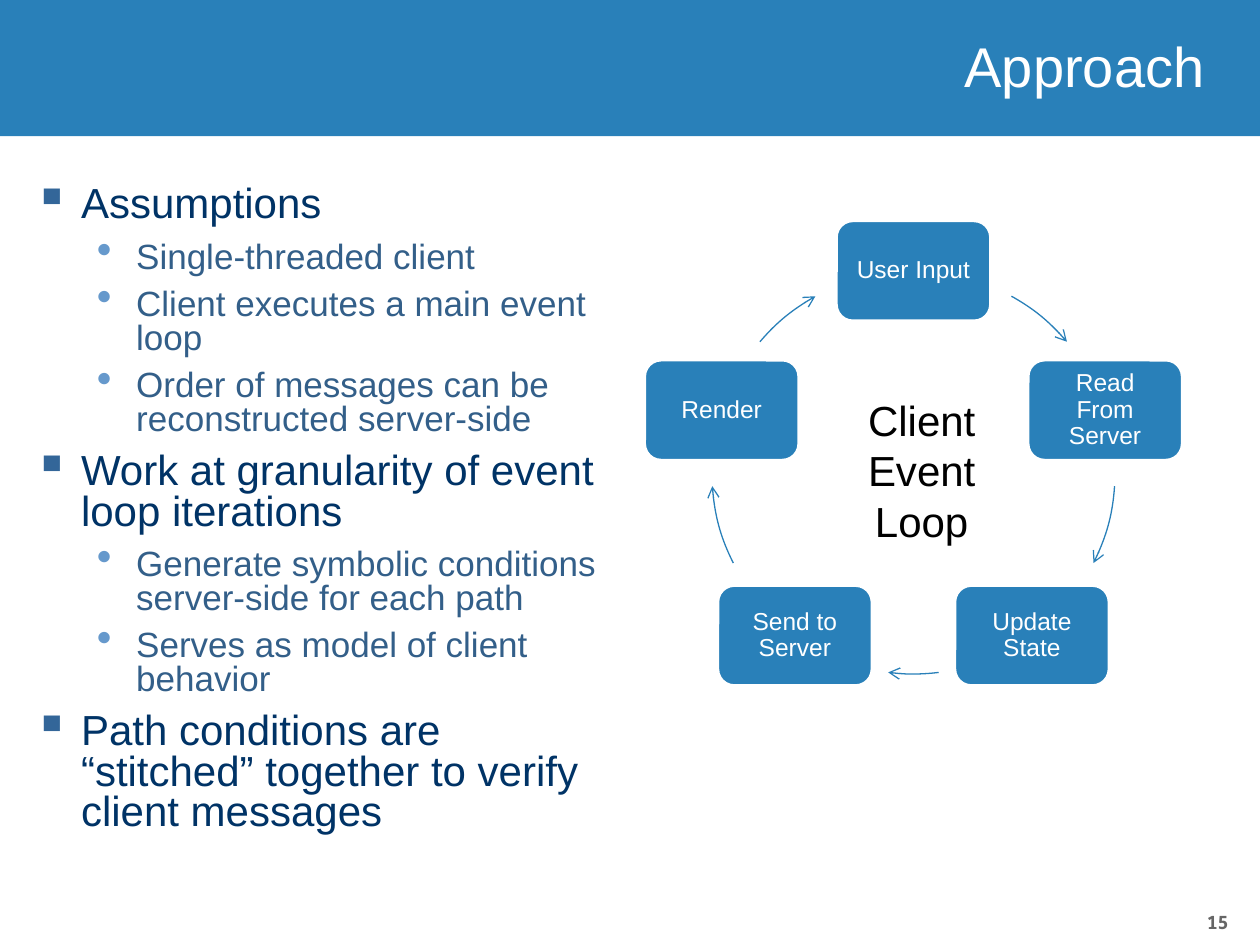
from dataclasses import dataclass
from math import cos, radians, sin

from lxml.etree import SubElement
from pptx import Presentation
from pptx.dml.color import RGBColor
from pptx.enum.shapes import MSO_SHAPE
from pptx.enum.text import MSO_ANCHOR, PP_ALIGN
from pptx.oxml.ns import qn
from pptx.util import Pt


@dataclass(frozen=True)
class Theme:
    blue: str = "2980B9"
    white: str = "FFFFFF"
    black: str = "000000"
    gray: str = "666666"
    shadow: str = "1F5F8B"
    font: str = "Arial"
    number_font: str = "Noto Sans Mono"
    title_size: float = 32
    heading_size: float = 24
    step_size: float = 14
    number_size: float = 10.5
    # size, text colour, bullet, bullet colour, bullet percent, margin, hanging indent
    levels: tuple = (
        (24, "003366", "▪", "336699", 115, 27, 27),
        (20, "335F89", "•", "6699CC", 125, 58.5, 22.5),
    )


class SlideBuilder:
    def __init__(self, page, theme):
        self.page = page
        self.theme = theme

    def apply(self, target, values):
        for name, value in values.items():
            setattr(target, name, value)

    def add_span(self, para, text, size, color, font=None, bold=False):
        span = para.add_run()
        span.text = text
        self.apply(span.font, {"size": Pt(size), "name": font or self.theme.font, "bold": bold})
        span.font.color.rgb = RGBColor.from_string(color)
        return span

    def shape(self, kind, left, top, width, height, fill=None, line=None, weight=1):
        shape = self.page.shapes.add_shape(kind, Pt(left), Pt(top), Pt(width), Pt(height))
        shape.shadow.inherit = False
        for part, color in ((shape.fill, fill), (shape.line.fill, line)):
            if color:
                part.solid()
                part.fore_color.rgb = RGBColor.from_string(color)
            else:
                part.background()
        if line:
            shape.line.width = Pt(weight)
        return shape

    def text_box(self, left, top, width, height, **frame):
        box = self.page.shapes.add_textbox(Pt(left), Pt(top), Pt(width), Pt(height))
        self.apply(box.text_frame, {"word_wrap": True, **frame})
        return box.text_frame

    def label(self, frame, text, size, color, font=None, bold=False, **layout):
        para = frame.paragraphs[0]
        self.apply(para, layout)
        return self.add_span(para, text, size, color, font, bold)

    def text_shadow(self, span):
        properties = span._r.get_or_add_rPr()
        effects = SubElement(properties, qn("a:effectLst"))
        shadow = SubElement(effects, qn("a:outerShdw"), dist=str(Pt(3)), dir="2700000")
        SubElement(shadow, qn("a:srgbClr"), val=self.theme.shadow)
        properties.find(qn("a:solidFill")).addnext(effects)

    def bullets(self, frame, items):
        for index, (level, text) in enumerate(items):
            size, color, mark, mark_color, percent, margin, hanging = self.theme.levels[level]
            para = frame.add_paragraph() if index else frame.paragraphs[0]
            gap = Pt(size * 0.2)
            self.apply(para, {"level": level, "line_spacing": 0.8, "space_after": gap,
                              "space_before": gap if index else Pt(0)})
            properties = para._p.get_or_add_pPr()
            properties.set("marL", str(Pt(margin)))
            properties.set("indent", str(-Pt(hanging)))
            tint = SubElement(properties, qn("a:buClr"))
            SubElement(tint, qn("a:srgbClr"), val=mark_color)
            SubElement(properties, qn("a:buSzPct"), val=str(percent * 1000))
            SubElement(properties, qn("a:buChar"), char=mark)
            self.add_span(para, text, size, color)

    def step(self, text, center_x, center_y, width=88.5, height=57.6):
        theme = self.theme
        box = self.shape(MSO_SHAPE.ROUNDED_RECTANGLE, center_x - width / 2, center_y - height / 2,
                         width, height, theme.blue, theme.white, 2)
        frame = box.text_frame
        sides = ("margin_left", "margin_right", "margin_top", "margin_bottom")
        self.apply(frame, {"word_wrap": True, "vertical_anchor": MSO_ANCHOR.MIDDLE,
                           **dict.fromkeys(sides, Pt(7.2))})
        self.label(frame, text, theme.step_size, theme.white,
                   alignment=PP_ALIGN.CENTER, line_spacing=0.9)

    def arc_arrow(self, center_x, center_y, radius, start, end):
        """Draw a clockwise arrow between two angles in degrees, 0 pointing right."""
        arc = self.shape(MSO_SHAPE.ARC, center_x - radius, center_y - radius,
                         2 * radius, 2 * radius, line=self.theme.blue, weight=0.75)
        for index, angle in enumerate((start, end)):
            arc.adjustments[index] = angle % 360 * 0.6
        SubElement(arc.element.spPr.find(qn("a:ln")), qn("a:tailEnd"), type="arrow")

    def cycle(self, names, arcs, center_x, center_y, radius):
        turn = 360 / len(names)
        for index, (name, (start, end)) in enumerate(zip(names, arcs)):
            angle = radians(index * turn - 90)
            self.step(name, center_x + radius * cos(angle), center_y + radius * sin(angle))
            self.arc_arrow(center_x, center_y, radius, start, end)


BULLETS = (
    (0, "Assumptions"),
    (1, "Single-threaded client"),
    (1, "Client executes a main event loop"),
    (1, "Order of messages can be reconstructed server-side"),
    (0, "Work at granularity of event loop iterations"),
    (1, "Generate symbolic conditions server-side for each path"),
    (1, "Serves as model of client behavior"),
    (0, "Path conditions are “stitched” together to verify client messages"),
)
STEPS = ("User Input", "Read From Server", "Update State", "Send to Server", "Render")
ARCS = ((-60.9, -40.4), (3.9, 26.7), (82.8, 97.2), (153.3, 176.1), (220.4, 240.9))


def main():
    deck = Presentation()
    deck.slide_width, deck.slide_height = Pt(720), Pt(540)
    theme = Theme()
    slide = SlideBuilder(deck.slides.add_slide(deck.slide_layouts[6]), theme)

    slide.shape(MSO_SHAPE.RECTANGLE, 0, 0, 720, 77.75, theme.blue)
    number = slide.text_box(682.5, 517, 36.7, 28.8, word_wrap=False)
    slide.label(number, "15", theme.number_size, theme.gray, theme.number_font, True)
    title = slide.text_box(180, 10, 515.5, 60, vertical_anchor=MSO_ANCHOR.MIDDLE)
    slide.text_shadow(slide.label(title, "Approach", theme.title_size, theme.white,
                                  alignment=PP_ALIGN.RIGHT, line_spacing=0.85))
    slide.bullets(slide.text_box(12.25, 103, 347.75, 401), BULLETS)
    slide.cycle(STEPS, ARCS, center_x=522, center_y=270, radius=115.2)
    caption = slide.text_box(468, 221.75, 117.4, 94.3)
    slide.label(caption, "Client Event Loop", theme.heading_size, theme.black,
                alignment=PP_ALIGN.CENTER)
    deck.save("out.pptx")


if __name__ == "__main__":
    main()
